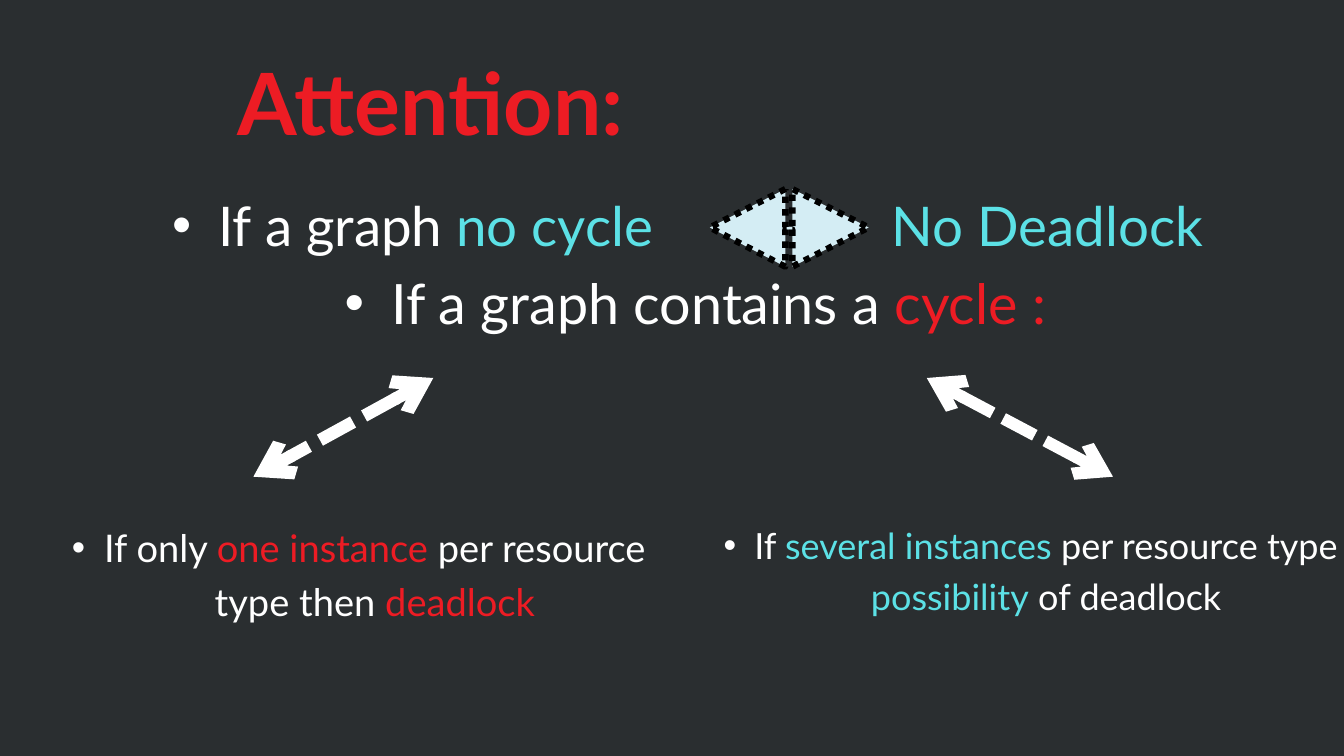
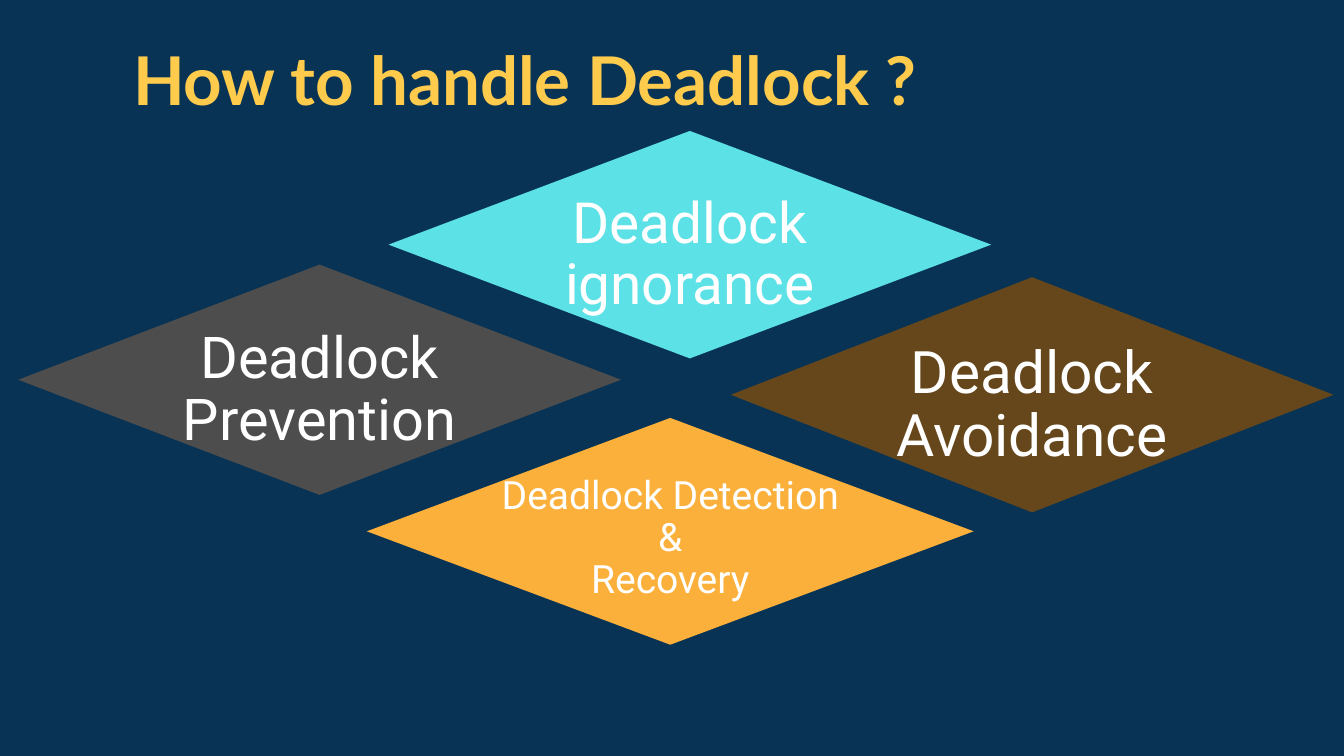
"""Build two slides on deadlock: what cycles mean, and how deadlock is handled."""
from lxml import etree
from pptx import Presentation
from pptx.dml.color import RGBColor
from pptx.enum.dml import MSO_LINE
from pptx.enum.shapes import MSO_CONNECTOR, MSO_SHAPE
from pptx.enum.text import MSO_ANCHOR, MSO_AUTO_SIZE, PP_ALIGN
from pptx.oxml.ns import qn
from pptx.util import Pt

STRAIGHT = MSO_CONNECTOR.STRAIGHT
DIAMOND = MSO_SHAPE.DIAMOND
TOP, MIDDLE = MSO_ANCHOR.TOP, MSO_ANCHOR.MIDDLE
LEFT, CENTER = PP_ALIGN.LEFT, PP_ALIGN.CENTER
DOTS, DASHES = MSO_LINE.ROUND_DOT, MSO_LINE.SQUARE_DOT
PX = 9525
TITLE_ONLY = 5
COLORS = {
    "charcoal": "2A2E30", "navy": "083354", "white": "FFFFFF", "black": "000000",
    "red": "ED1C24", "cyan": "5CE1E6", "ice": "D4EDF4", "yellow": "FFCB4C",
    "gray": "4D4D4D", "orange": "FBB03B", "brown": "65471B",
}
RGB = {name: RGBColor.from_string(value) for name, value in COLORS.items()}


def place(box, left, top, width, height, anchor=TOP, inset=0):
    """Position a text shape and return its wrapped text frame."""
    box.left, box.top, box.width, box.height = (n * PX for n in (left, top, width, height))
    frame = box.text_frame
    frame.word_wrap = True
    frame.auto_size = MSO_AUTO_SIZE.NONE
    frame.vertical_anchor = anchor
    frame.margin_left = frame.margin_right = inset * PX
    frame.margin_top = frame.margin_bottom = inset * PX
    return frame


def write(para, spans, font, size, spacing, color="white", align=CENTER, margin=0, hanging=0):
    """Fill a paragraph with (text, colour) spans, bulleted when it has a hanging indent."""
    para.alignment = align
    para.line_spacing = Pt(spacing)
    if hanging:
        properties = para._p.get_or_add_pPr()
        properties.set("marL", str(margin * PX))
        properties.set("indent", str(-hanging * PX))
        bullet_color = etree.SubElement(properties, qn("a:buClr"))
        etree.SubElement(bullet_color, qn("a:srgbClr"), val=COLORS[color])
        etree.SubElement(properties, qn("a:buFont"), typeface="Arial")
        etree.SubElement(properties, qn("a:buChar"), char="•")
    para.font.name = font
    para.font.size = Pt(size)
    para.font.color.rgb = RGB[color]
    for text, accent in spans:
        span = para.add_run()
        span.text = text
        if accent:
            span.font.color.rgb = RGB[accent]


deck = Presentation()
deck.slide_width, deck.slide_height = 1920 * PX, 1080 * PX

titles = [
    ("Attention:", "charcoal", "red", 92, 128.8, (310, 46, 611, 164)),
    ("How to handle Deadlock ?", "navy", "yellow", 72, 100.8, (143, 36, 1214, 129)),
]
pages = []
for text, background, color, size, spacing, area in titles:
    page = deck.slides.add_slide(deck.slide_layouts[TITLE_ONLY])
    page.background.fill.solid()
    page.background.fill.fore_color.rgb = RGB[background]
    heading = place(page.shapes.title, *area).paragraphs[0]
    write(heading, [(text, None)], "Lato", size, spacing, color)
    heading.font.bold = True
    pages.append(page)
cycle_page, handling_page = pages

outline = cycle_page.shapes.build_freeform(1122, 270, scale=PX)
outline.add_line_segments([
    (1014, 325), (1122, 381), (1122, 328), (1132, 328), (1132, 381),
    (1241, 325), (1132, 270), (1132, 324), (1122, 324),
])
equivalence = outline.convert_to_shape()
equivalence.shadow.inherit = False
equivalence.fill.solid()
equivalence.fill.fore_color.rgb = RGB["ice"]
equivalence.line.color.rgb = RGB["black"]
equivalence.line.width = Pt(6.75)
equivalence.line.dash_style = DOTS

frame = place(cycle_page.shapes.add_textbox(0, 0, 0, 0), 39, 258, 1841, 216)
write(frame.paragraphs[0], [("If a graph ", None), ("no cycle", "cyan")],
      "Lato", 58.6, 82.1, align=LEFT, margin=273, hanging=66)
write(frame.add_paragraph(), [("If a graph contains a", None), (" cycle :", "red")],
      "Lato", 59.6, 83.5, margin=135, hanging=67)
frame = place(cycle_page.shapes.add_textbox(0, 0, 0, 0), 1274, 258, 480, 108)
write(frame.paragraphs[0], [("No Deadlock", "cyan")], "Lato", 58.6, 82.1, align=LEFT)

for start, end, width in [(619, 362, 13.5), (1324, 1590, 12.75)]:
    arrow = cycle_page.shapes.add_connector(STRAIGHT, start * PX, 540 * PX, end * PX, 681 * PX)
    arrow.line.color.rgb = RGB["white"]
    arrow.line.width = Pt(width)
    arrow.line.dash_style = DASHES
    for tip in ("a:headEnd", "a:tailEnd"):
        etree.SubElement(arrow.line._get_or_add_ln(), qn(tip), type="arrow")
    etree.SubElement(arrow._element.spPr, qn("a:effectLst"))

cases = [
    ((982, 738, 938, 142), 38.6, 54.1, 87, 44,
     [("If ", None), ("several instances", "cyan"), (" per resource type ", None),
      ("possibility", "cyan"), (" of deadlock", None)]),
    ((39, 739, 901, 150), 40.8, 57.1, 92, 46,
     [("If only ", None), ("one instance", "red"), (" per resource type then ", None),
      ("deadlock", "red")]),
]
for area, size, spacing, margin, hanging, spans in cases:
    frame = place(cycle_page.shapes.add_textbox(0, 0, 0, 0), *area)
    write(frame.paragraphs[0], spans, "Lato", size, spacing, margin=margin, hanging=hanging)

methods = [
    (["Deadlock Prevention"], "gray", (26, 378, 861, 329), 86, 185, 61.8, 66.7),
    (["Deadlock ignorance"], "cyan", (555, 187, 861, 325), 86, 183, 60.8, 65.6),
    (["Deadlock Detection", "&", "Recovery"], "orange", (524, 597, 867, 324), 75, 194, 41.8, 45.1),
    (["Deadlock Avoidance"], "brown", (1044, 396, 861, 336), 88, 190, 62.8, 67.8),
]
for lines, color, area, drop, label_height, size, spacing in methods:
    left, top, width, height = area
    diamond = handling_page.shapes.add_shape(DIAMOND, *(n * PX for n in area))
    diamond.shadow.inherit = False
    diamond.fill.solid()
    diamond.fill.fore_color.rgb = RGB[color]
    diamond.line.fill.background()
    label = handling_page.shapes.add_textbox(0, 0, 0, 0)
    frame = place(label, left + 148, top + drop, width - 296, label_height, MIDDLE, 6)
    for index, text in enumerate(lines):
        para = frame.add_paragraph() if index else frame.paragraphs[0]
        write(para, [(text, None)], "Roboto", size, spacing)

deck.save("out.pptx")
